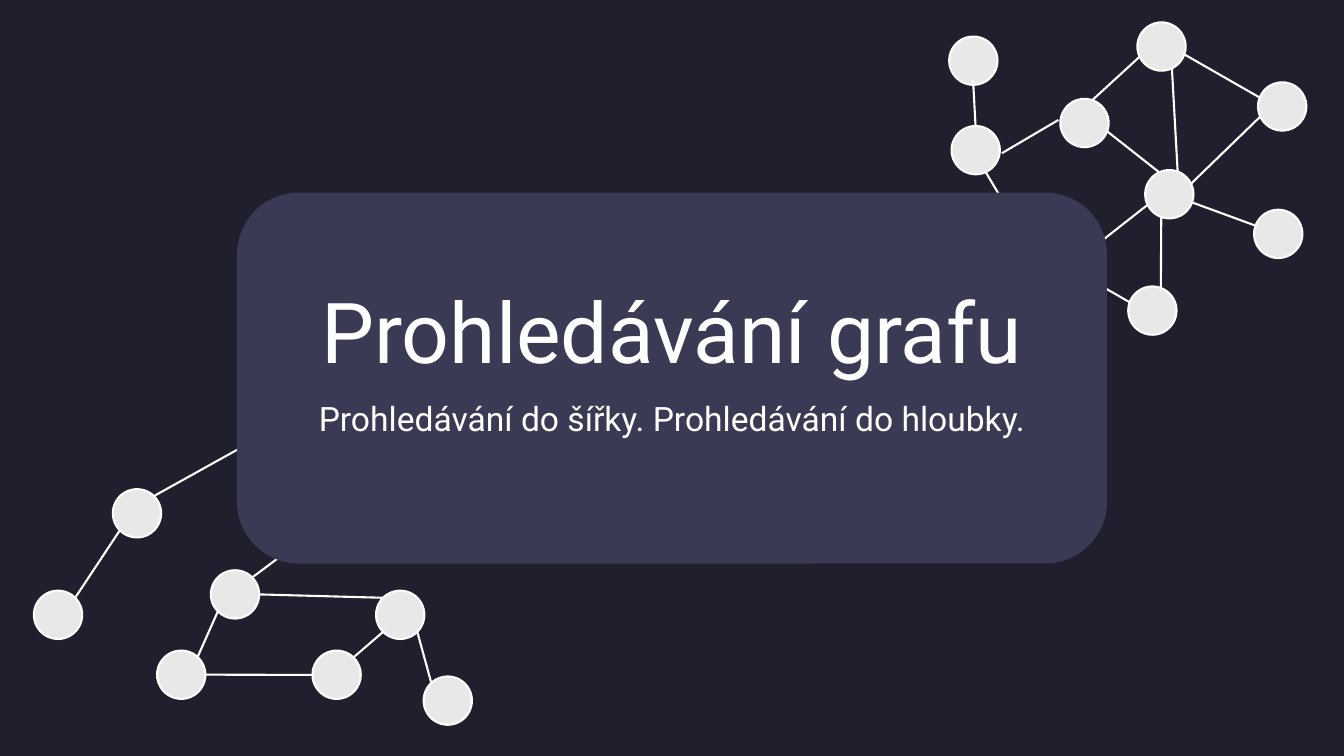
from lxml import etree
from pptx import Presentation
from pptx.dml.color import RGBColor
from pptx.enum.shapes import MSO_CONNECTOR, MSO_SHAPE
from pptx.enum.text import MSO_ANCHOR, PP_ALIGN
from pptx.oxml.ns import qn
from pptx.util import Pt

STRAIGHT = MSO_CONNECTOR.STRAIGHT
OVAL = MSO_SHAPE.OVAL
ROUNDED = MSO_SHAPE.ROUNDED_RECTANGLE
TOP, BOTTOM = MSO_ANCHOR.TOP, MSO_ANCHOR.BOTTOM
CENTER = PP_ALIGN.CENTER

COLORS = {"background": "1F1F2D", "card": "3A3A54", "node": "E8E8E8", "white": "FFFFFF"}
FONT = "Roboto"
NODE_SIZE = 34.5
LINE_WIDTH = 1.5

LOWER_GRAPH = {
    "nodes": [(278.6, 168.2), (244.6, 106.9), (199.2, 149.7), (126.6, 92.3),
              (88.2, 149.7), (56.6, 34.4), (0.2, 106.9)],
    "edges": [(284.2, 173.2, 274.1, 136.4), (161, 109.6, 249.6, 112),
              (156, 97.6, 249.6, 27.7), (228.7, 154.4, 249.6, 136.4),
              (122.2, 166.9, 199.2, 167.1), (117.1, 154.4, 131.5, 122),
              (86.2, 39.2, 156, 0.4), (29.7, 112, 61.7, 63.7)],
    "front_nodes": [],
}
UPPER_GRAPH = {
    "nodes": [(127.9, 188.6), (140, 105.5), (217.8, 133.8), (79.4, 54.6),
              (220.6, 42.8), (0, 10.1), (134.4, 0)],
    "edges": [(94.6, 167.4, 142.1, 130), (129.1, 200, 95.3, 180.6),
              (151.2, 189.9, 151.5, 138.8), (26.2, 107.1, 62.9, 169),
              (19, 76.9, 17.1, 41.6), (37.7, 93.4, 78, 69.7),
              (222, 67.5, 173, 115), (112.6, 77.6, 150, 107.1),
              (159.1, 33, 163.2, 106.4), (136.3, 24.3, 102.5, 55.3),
              (168, 22.9, 222, 53.8), (219.1, 145.3, 173.8, 128.7)],
    "front_nodes": [(1.7, 74)],
}


def color(name):
    """Return the named palette colour."""
    return RGBColor.from_string(COLORS[name])


def add_node(slide, left, top):
    """Add one round graph node."""
    node = slide.shapes.add_shape(OVAL, Pt(left), Pt(top), Pt(NODE_SIZE), Pt(NODE_SIZE))
    node.shadow.inherit = False
    node.fill.solid()
    node.fill.fore_color.rgb = color("node")
    node.line.color.rgb = color("white")
    node.line.width = Pt(LINE_WIDTH)


def add_edge(slide, start_x, start_y, end_x, end_y):
    """Add one straight graph edge."""
    edge = slide.shapes.add_connector(STRAIGHT, Pt(start_x), Pt(start_y), Pt(end_x), Pt(end_y))
    edge.line.color.rgb = color("white")
    edge.line.width = Pt(LINE_WIDTH)
    etree.SubElement(edge._element.spPr, qn("a:effectLst"))


def add_graph(slide, left, top, graph):
    """Add the nodes and edges of a graph, offset from its top left corner."""
    for x, y in graph["nodes"]:
        add_node(slide, left + x, top + y)
    for start_x, start_y, end_x, end_y in graph["edges"]:
        add_edge(slide, left + start_x, top + start_y, left + end_x, top + end_y)
    for x, y in graph["front_nodes"]:
        add_node(slide, left + x, top + y)


def add_text(slide, box, text, size, anchor, space_before):
    """Add a centred line of text in the given box."""
    shape = slide.shapes.add_textbox(*map(Pt, box))
    frame = shape.text_frame
    frame.word_wrap = True
    frame.vertical_anchor = anchor
    paragraph = frame.paragraphs[0]
    paragraph.alignment = CENTER
    paragraph.line_spacing = 0.9
    paragraph.space_before = Pt(space_before)
    run = paragraph.add_run()
    run.text = text
    run.font.name = FONT
    run.font.size = Pt(size)
    run.font.color.rgb = color("white")


def add_title_card(slide, left, top, width, height):
    """Add the rounded card with the title and subtitle over it."""
    card = slide.shapes.add_shape(ROUNDED, Pt(left), Pt(top), Pt(width), Pt(height))
    card.shadow.inherit = False
    card.fill.solid()
    card.fill.fore_color.rgb = color("card")
    card.line.fill.background()
    text_width = 720
    text_left = left + (width - text_width) / 2
    add_text(slide, (text_left, top - 49, text_width, 188),
             "Prohledávání grafu", 60, BOTTOM, 0)
    add_text(slide, (text_left, top + 146.2, text_width, 130.3),
             "Prohledávání do šířky. Prohledávání do hloubky.", 24, TOP, 10)


def build_title_slide(presentation):
    """Build the title slide with a graph in two opposite corners."""
    slide = presentation.slides.add_slide(presentation.slide_layouts[6])
    slide.background.fill.solid()
    slide.background.fill.fore_color.rgb = color("background")
    add_graph(slide, 24, 315, LOWER_GRAPH)
    add_graph(slide, 678, 16, UPPER_GRAPH)
    add_title_card(slide, 169.3, 137.5, 621.4, 265)


def main():
    """Create and save the presentation."""
    presentation = Presentation()
    presentation.slide_width = Pt(960)
    presentation.slide_height = Pt(540)
    build_title_slide(presentation)
    presentation.save("out.pptx")


if __name__ == "__main__":
    main()
